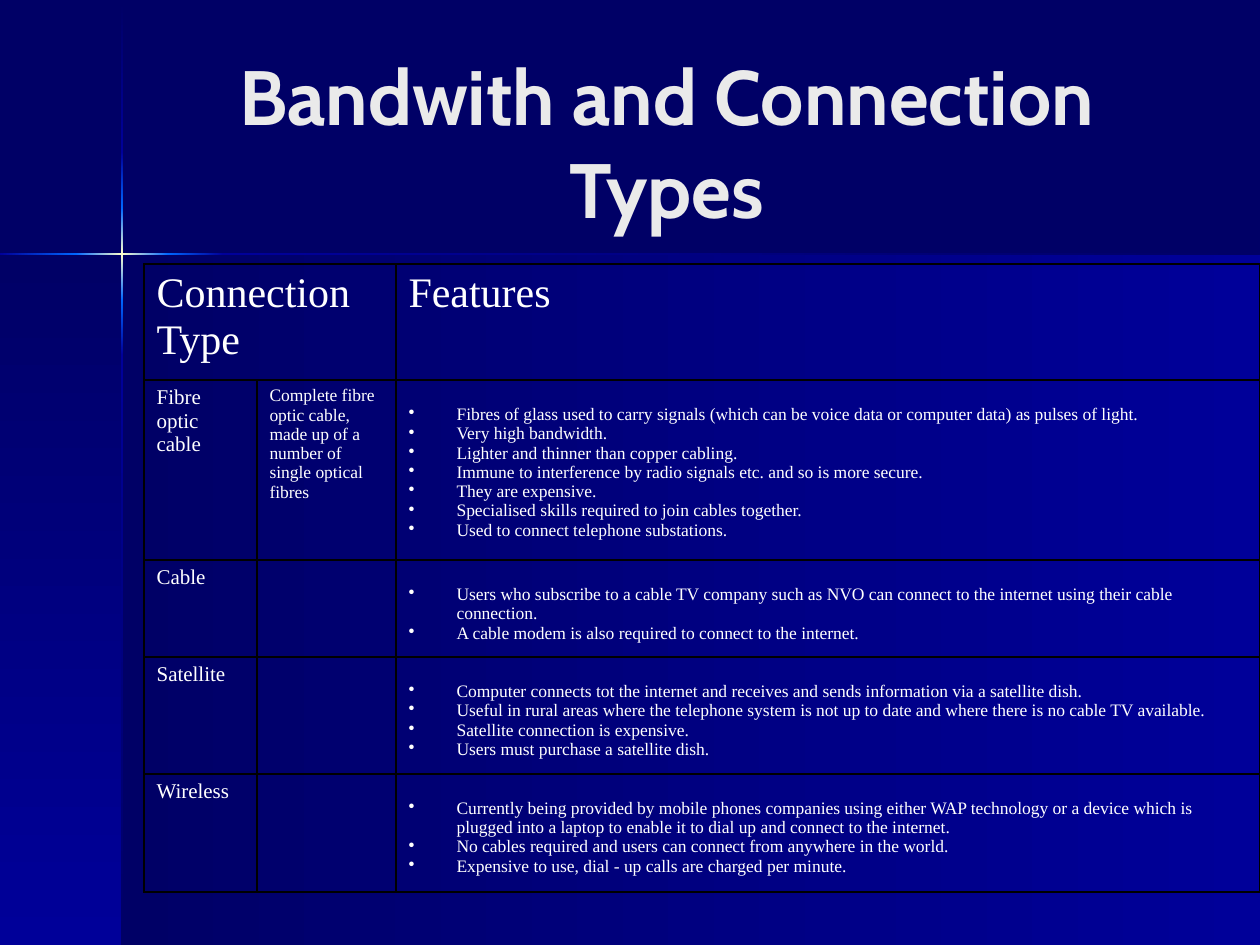
"""Builds the slide on bandwidth and connection types."""
from dataclasses import dataclass
from lxml import etree
from pptx import Presentation
from pptx.dml.color import RGBColor as RGB
from pptx.enum.shapes import MSO_SHAPE as SHAPE
from pptx.enum.text import MSO_ANCHOR as ANCHOR, PP_ALIGN as ALIGN
from pptx.oxml.ns import qn
from pptx.util import Emu, Pt


@dataclass
class Theme:
    navy: str = "000066"
    blue: str = "000099"
    bright: str = "0066FF"
    glow: str = "FFFFCC"
    title: str = "EAEAEA"
    text: str = "FFFFFF"
    border: str = "000000"
    title_font: str = "Cabin"
    body_font: str = "Times New Roman"
    title_size: int = 44
    head_size: int = 24
    label_size: int = 12
    body_size: int = 10


T = Theme()


def px(n):
    return Emu(round(n * 914400 / 126))


def write(p, text, font, size, color, bold=False):
    r = p.add_run()
    r.text = text
    r.font.name = font
    r.font.size = Pt(size)
    r.font.bold = bold
    r.font.color.rgb = RGB.from_string(color)


prs = Presentation()
prs.slide_width, prs.slide_height = px(1260), px(945)
s = prs.slides.add_slide(prs.slide_layouts[6])
s.background.fill.solid()
s.background.fill.fore_color.rgb = RGB.from_string(T.navy)

RIGHT, DOWN = 0, 90
flare = (T.bright, T.glow, T.bright)
panels = [
    (122, 255, 1138, 690, RIGHT, (T.navy, T.blue)),
    (0, 255, 122, 690, DOWN, (T.navy, T.blue)),
    (121, 1, 2, 151, DOWN, (T.navy, T.blue)),
    (121, 355, 2, 590, DOWN, (T.blue, T.navy)),
    (223, 253, 1037, 2, RIGHT, (T.blue, T.navy)),
    (121, 300, 2, 55, DOWN, (T.bright, T.blue)),
    (121, 152, 2, 56, DOWN, (T.blue, T.bright)),
    (121, 208, 2, 92, DOWN, flare),
    (0, 253, 76, 2, RIGHT, (T.blue, T.bright)),
    (168, 253, 55, 2, RIGHT, (T.bright, T.blue)),
    (76, 253, 92, 2, RIGHT, flare),
]
for x, y, w, h, angle, colors in panels:
    sp = s.shapes.add_shape(SHAPE.RECTANGLE, px(x), px(y), px(w), px(h))
    sp.shadow.inherit = False
    sp.line.fill.background()
    grad = etree.Element(qn("a:gradFill"), rotWithShape="1")
    stops = etree.SubElement(grad, qn("a:gsLst"))
    for i, color in enumerate(colors):
        stop = etree.SubElement(stops, qn("a:gs"), pos=str(i * 100000 // (len(colors) - 1)))
        etree.SubElement(stop, qn("a:srgbClr"), val=color)
    etree.SubElement(grad, qn("a:lin"), ang=str(angle * 60000), scaled="0")
    sp._element.spPr.insert(2, grad)

tf = s.shapes.add_textbox(px(147), px(42), px(1040), px(198)).text_frame
tf.word_wrap = True
tf.vertical_anchor = ANCHOR.MIDDLE
p = tf.paragraphs[0]
p.alignment = ALIGN.CENTER
write(p, "Bandwith and Connection Types", T.title_font, T.title_size, T.title, True)

rows = [
    ("Fibre optic cable", "Complete fibre optic cable, made up of a number of single optical fibres", [
        "Fibres of glass used to carry signals (which can be voice data or computer data) as pulses of light.",
        "Very high bandwidth.",
        "Lighter and thinner than copper cabling.",
        "Immune to interference by radio signals etc. and so is more secure.",
        "They are expensive.",
        "Specialised skills required to join cables together.",
        "Used to connect telephone substations.",
    ]),
    ("Cable", "", [
        "Users who subscribe to a cable TV company such as NVO can connect to the internet using their cable "
        "connection.",
        "A cable modem is also required to connect to the internet.",
    ]),
    ("Satellite", "", [
        "Computer connects tot the internet and receives and sends information via a satellite dish.",
        "Useful in rural areas where the telephone system is not up to date and where there is no cable TV "
        "available.",
        "Satellite connection is expensive.",
        "Users must purchase a satellite dish.",
    ]),
    ("Wireless", "", [
        "Currently being provided by mobile phones companies using either WAP technology or a device which is "
        "plugged into a laptop to enable it to dial up and connect to the internet.",
        "No cables required and users can connect from anywhere in the world.",
        "Expensive to use, dial - up calls are charged per minute.",
    ]),
]
widths = [113, 139, 864]
heights = [116, 180, 97, 117, 118]
table = s.shapes.add_table(len(heights), len(widths), px(144), px(264), px(sum(widths)), px(sum(heights))).table
table.first_row = table.horz_banding = False
for col, w in zip(table.columns, widths):
    col.width = px(w)
for row, h in zip(table.rows, heights):
    row.height = px(h)

for cell in table.iter_cells():
    cell.fill.background()
    tcPr = cell._tc.get_or_add_tcPr()
    for i, side in enumerate(("a:lnL", "a:lnR", "a:lnT", "a:lnB")):
        ln = etree.Element(qn(side), w=str(Pt(1)))
        fill = etree.SubElement(ln, qn("a:solidFill"))
        etree.SubElement(fill, qn("a:srgbClr"), val=T.border)
        tcPr.insert(i, ln)

table.cell(0, 0).merge(table.cell(0, 1))
for c, text in ((0, "Connection Type"), (2, "Features")):
    write(table.cell(0, c).text_frame.paragraphs[0], text, T.body_font, T.head_size, T.text)

for n, (label, detail, features) in enumerate(rows, 1):
    write(table.cell(n, 0).text_frame.paragraphs[0], label, T.body_font, T.label_size, T.text)
    if detail:
        write(table.cell(n, 1).text_frame.paragraphs[0], detail, T.body_font, T.body_size, T.text)
    cell = table.cell(n, 2)
    cell.margin_top = px(25)
    tf = cell.text_frame
    for i, feature in enumerate(features):
        p = tf.add_paragraph() if i else tf.paragraphs[0]
        pPr = p._p.get_or_add_pPr()
        pPr.set("marL", str(px(48)))
        pPr.set("indent", str(px(-48)))
        etree.SubElement(pPr, qn("a:buChar"), char="•")
        write(p, feature, T.body_font, T.body_size, T.text)

prs.save("out.pptx")
